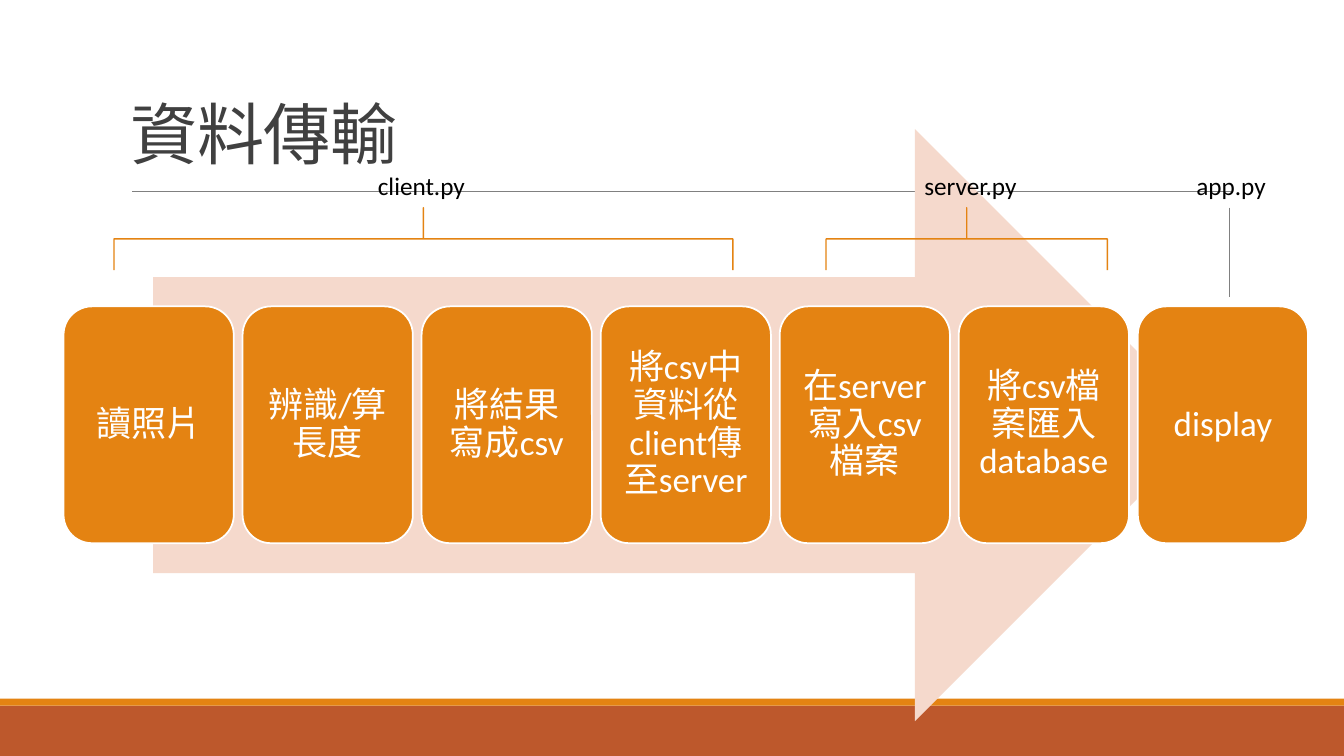
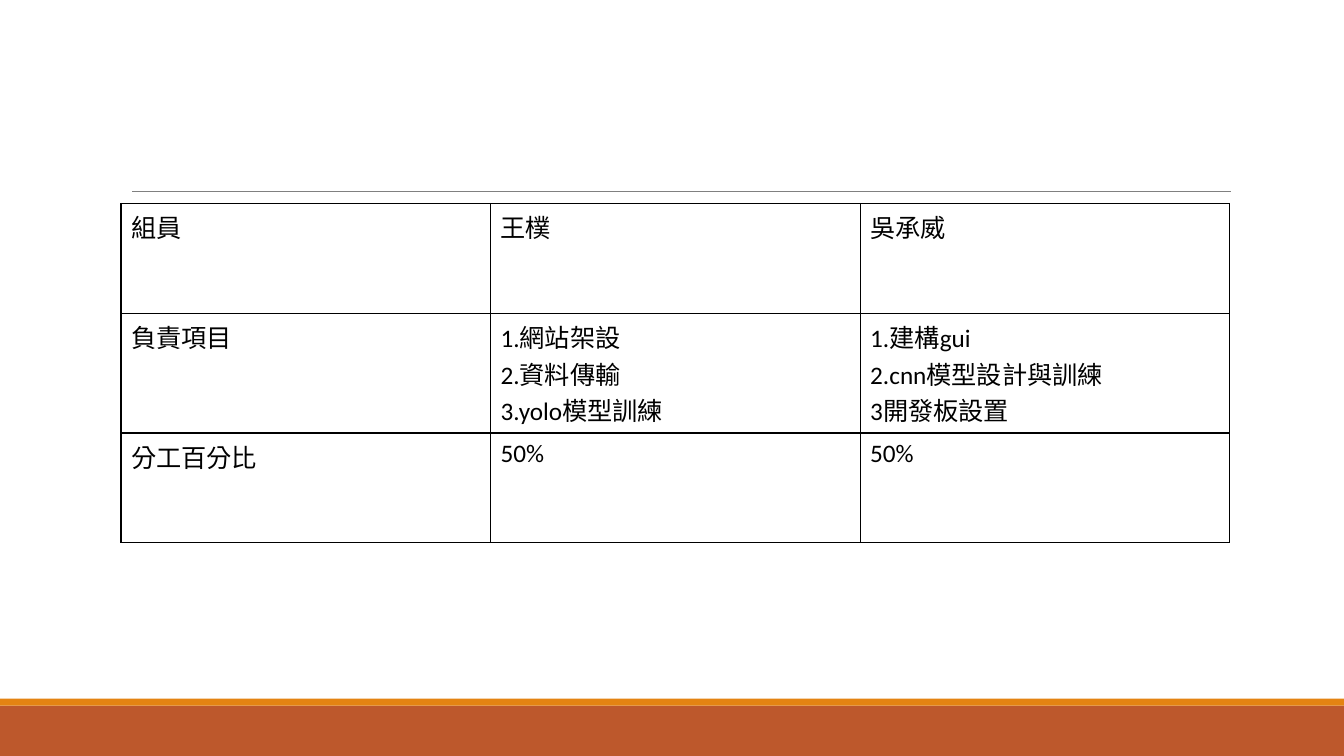
from dataclasses import dataclass

from lxml.etree import SubElement
from pptx import Presentation
from pptx.dml.color import RGBColor
from pptx.enum.shapes import MSO_CONNECTOR as Connector, MSO_SHAPE as Shape
from pptx.enum.text import MSO_ANCHOR as Anchor, PP_ALIGN as Align
from pptx.oxml.ns import qn
from pptx.util import Inches, Pt

WIDTH, HEIGHT = Inches(13.33), Inches(7.5)
FONT = "Calibri"
COLORS = {
    "rust": "BD582C",
    "orange": "E48312",
    "peach": "F5D9CC",
    "gray": "808080",
    "title": "404040",
    "white": "FFFFFF",
    "black": "000000",
}

STEPS = [
    "讀照片",
    "辨識/算長度",
    "將結果寫成csv",
    "將csv中資料從client傳至server",
    "在server寫入csv檔案",
    "將csv檔案匯入database",
    "display",
]
ROWS = [
    ["組員", "王樸", "吳承威"],
    ["負責項目", "1.網站架設\n2.資料傳輸\n3.yolo模型訓練", "1.建構gui\n2.cnn模型設計與訓練\n3開發板設置"],
    ["分工百分比", "50%", "50%"],
]


@dataclass
class Box:
    """Left, top, width and height in percent of the slide."""
    left: float
    top: float
    width: float
    height: float

    def lengths(self):
        return (across(self.left), down(self.top), across(self.width), down(self.height))

    def columns(self, count, gap):
        width = (self.width - gap * (count - 1)) / count
        return [Box(self.left + i * (width + gap), self.top, width, self.height) for i in range(count)]


def across(share):
    return round(WIDTH * share / 100)


def down(share):
    return round(HEIGHT * share / 100)


def color(name):
    return RGBColor.from_string(COLORS[name])


def write(frame, text, size=18, ink="black", align=Align.LEFT, anchor=Anchor.TOP,
          spacing=None, tracking=None, margin=None, wrap=True):
    frame.word_wrap = wrap
    frame.vertical_anchor = anchor
    if margin is not None:
        frame.margin_left = frame.margin_right = Inches(margin)
        frame.margin_top = frame.margin_bottom = Inches(margin)
    for index, line in enumerate(text.split("\n")):
        para = frame.add_paragraph() if index else frame.paragraphs[0]
        para.alignment = align
        para.line_spacing = spacing
        span = para.add_run()
        span.text = line
        span.font.name = FONT
        span.font.size = Pt(size)
        span.font.color.rgb = color(ink)
        props = span.font._element
        props.set("lang", "zh-TW")
        if tracking is not None:
            props.set("spc", str(round(tracking * 100)))


def add_text(page, box, text, **style):
    write(page.shapes.add_textbox(*box.lengths()).text_frame, text, **style)


def add_block(page, kind, box, fill=None, line=None, weight=1):
    block = page.shapes.add_shape(kind, *box.lengths())
    block.shadow.inherit = False
    if fill:
        block.fill.solid()
        block.fill.fore_color.rgb = color(fill)
    else:
        block.fill.background()
    if line:
        block.line.color.rgb = color(line)
        block.line.width = Pt(weight)
    else:
        block.line.fill.background()
    return block


def add_line(page, start, end, ink="gray", weight=0.5):
    line = page.shapes.add_connector(
        Connector.STRAIGHT, across(start[0]), down(start[1]), across(end[0]), down(end[1]))
    line.line.color.rgb = color(ink)
    line.line.width = Pt(weight)
    SubElement(line._element.spPr, qn("a:effectLst"))


def add_page(deck):
    page = deck.slides.add_slide(deck.slide_layouts[6])
    add_block(page, Shape.RECTANGLE, Box(0, 93.33, 100, 6.67), "rust")
    add_block(page, Shape.RECTANGLE, Box(0, 92.4, 100, 0.93), "orange")
    add_line(page, (9.83, 25.33), (91.58, 25.33))
    return page


def add_title(page, box, text):
    add_text(page, box, text, size=48, ink="title", anchor=Anchor.BOTTOM, spacing=0.85, tracking=-0.5)


def add_process(page, box):
    add_block(page, Shape.RIGHT_ARROW,
              Box(box.left + 6.67, box.top - 23.46, box.width * 0.85, box.height * 2.5), "peach")
    for cell, step in zip(box.columns(len(STEPS), 0.65), STEPS):
        card = add_block(page, Shape.ROUNDED_RECTANGLE, cell, "orange", "white", 1.25)
        write(card.text_frame, step, size=25, ink="white", align=Align.CENTER,
              anchor=Anchor.MIDDLE, spacing=0.9, margin=0.1)


def add_brace(page, box):
    left, top, width, height = box.lengths()
    brace = add_block(page, Shape.LEFT_BRACE, box, line="orange")
    brace.left, brace.top = left + (width - height) // 2, top + (height - width) // 2
    brace.width, brace.height = height, width
    brace.rotation = 90
    brace.adjustments[0], brace.adjustments[1] = 0, 0.5


def add_file_labels(page, box):
    brace_top = box.top + 5.6
    for left, width in ((8.48, 46.05), (61.46, 20.93)):
        add_brace(page, Box(left, brace_top, width, 8.27))
    add_line(page, (91.5, brace_top), (91.5, box.top + box.height))
    for left, width, name in ((27.38, 8.33, "client.py"), (68.03, 9.23, "server.py"), (88.28, 8.33, "app.py")):
        add_text(page, Box(left, box.top, width, 5.47), name, wrap=False)


def add_border(cell):
    props = cell._tc.get_or_add_tcPr()
    for index, side in enumerate(("a:lnL", "a:lnR", "a:lnT", "a:lnB")):
        edge = props.makeelement(qn(side), {"w": str(Pt(1))})
        fill = SubElement(edge, qn("a:solidFill"))
        SubElement(fill, qn("a:srgbClr"), val=COLORS["black"])
        props.insert(index, edge)


def add_work_table(page, box):
    table = page.shapes.add_table(len(ROWS), len(ROWS[0]), *box.lengths()).table
    table.first_row = table.horz_banding = False
    for row, texts in enumerate(ROWS):
        for column, text in enumerate(texts):
            cell = table.cell(row, column)
            cell.fill.background()
            add_border(cell)
            write(cell.text_frame, text)


def transfer_slide(deck):
    page = add_page(deck)
    add_process(page, Box(4.73, 40.53, 92.6, 31.33))
    add_title(page, Box(9, 2.4, 82.5, 21.2), "資料傳輸")
    add_file_labels(page, Box(8.48, 21.87, 88.13, 17.46))


def teamwork_slide(deck):
    add_work_table(add_page(deck), Box(9, 26.93, 82.5, 43.6))


def main():
    deck = Presentation()
    deck.slide_width, deck.slide_height = WIDTH, HEIGHT
    transfer_slide(deck)
    teamwork_slide(deck)
    deck.save("out.pptx")


if __name__ == "__main__":
    main()
